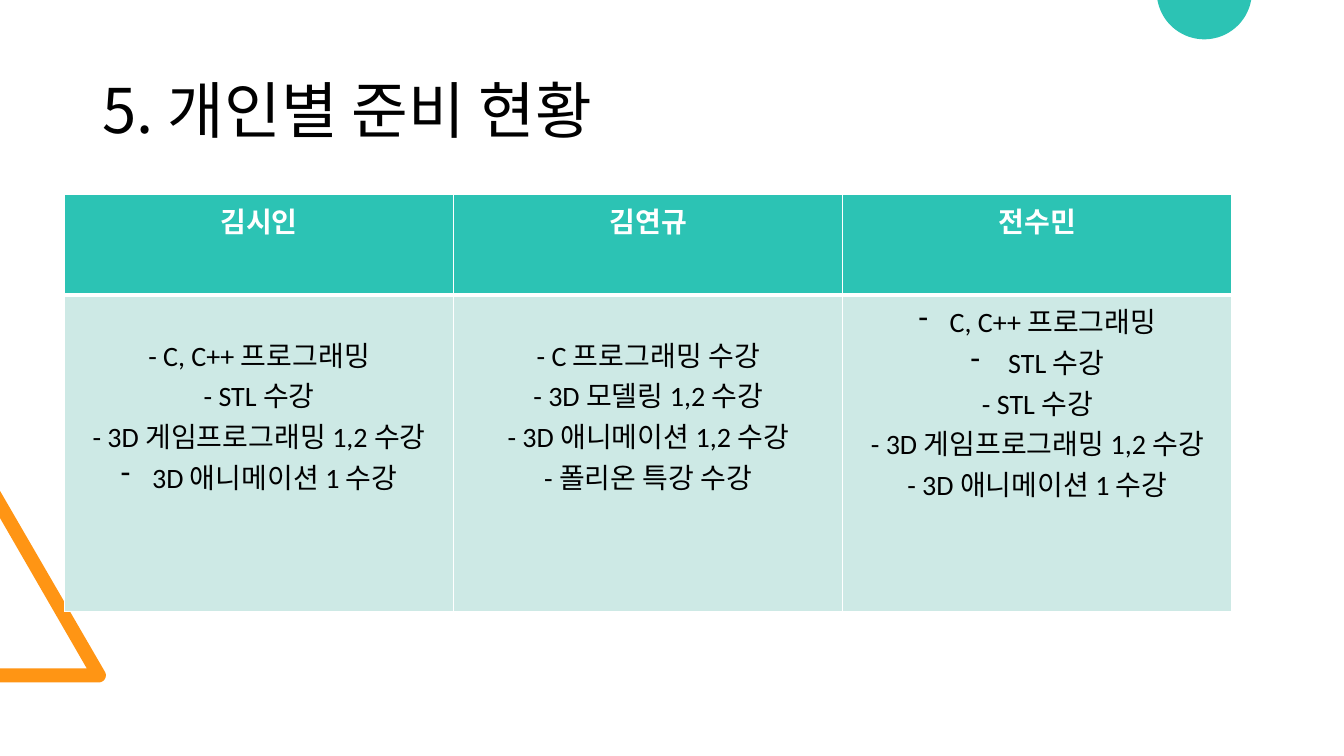
from dataclasses import dataclass
from math import asin, cos, degrees, radians, sin

from lxml import etree
from pptx import Presentation
from pptx.dml.color import RGBColor
from pptx.enum.text import MSO_ANCHOR, PP_ALIGN
from pptx.oxml.ns import qn
from pptx.util import Inches, Pt

MIDDLE = MSO_ANCHOR.MIDDLE
CENTER = PP_ALIGN.CENTER


@dataclass(frozen=True)
class Theme:
    teal: str = "2CC3B4"
    pale: str = "CDE9E5"
    orange: str = "FF9514"
    white: str = "FFFFFF"
    black: str = "000000"
    korean: str = "Noto Sans CJK KR"
    latin: str = "Calibri"
    title: int = 44
    body: int = 20


THEME = Theme()
HEADS = ["김시인", "김연규", "전수민"]
# Items that start with BULLET get a real list bullet.
BULLET = "•"
SKILLS = [
    ["- C, C++ 프로그래밍", "- STL 수강", "- 3D 게임프로그래밍 1,2 수강",
     BULLET + "3D 애니메이션 1 수강"],
    ["- C 프로그래밍 수강", "- 3D 모델링 1,2 수강", "- 3D 애니메이션 1,2 수강",
     "- 폴리온 특강 수강"],
    [BULLET + "C, C++ 프로그래밍", BULLET + " STL 수강", "- STL 수강",
     "- 3D 게임프로그래밍 1,2 수강", "- 3D 애니메이션 1 수강"],
]
TOPS = [0.38, 0.38, 0.05]


def add_run(para, text, color, **form):
    run = para.add_run()
    run.text = text
    for key, value in form.items():
        setattr(run.font, key, value)
    run.font.color.rgb = RGBColor.from_string(color)
    east = etree.SubElement(run.font._element, qn("a:ea"))
    east.set("typeface", THEME.korean)


def add_bullet(para):
    props = para._p.get_or_add_pPr()
    props.set("marL", str(Inches(0.31)))
    props.set("indent", str(-Inches(0.31)))
    etree.SubElement(props, qn("a:buFontTx"))
    etree.SubElement(props, qn("a:buChar")).set("char", "-")


def add_edges(cell, widths):
    """Draw white cell borders, with widths in points by side."""
    props = cell._tc.get_or_add_tcPr()
    for side, width in widths.items():
        line = etree.SubElement(props, qn(f"a:ln{side}"), w=str(Pt(width)))
        fill = etree.SubElement(line, qn("a:solidFill"))
        etree.SubElement(fill, qn("a:srgbClr"), val=THEME.white)


def arc(x, y, radius, start, end, steps=40):
    """Points on a circle, with angles in degrees, clockwise from the right."""
    turns = [radians(start + (end - start) * i / steps) for i in range(steps + 1)]
    return [(x + radius * cos(t), y + radius * sin(t)) for t in turns]


def add_outline(slide, points, color):
    spots = [(Inches(x), Inches(y)) for x, y in points]
    pen = slide.shapes.build_freeform(*spots[0])
    pen.add_line_segments(spots[1:], close=True)
    shape = pen.convert_to_shape()
    shape.shadow.inherit = False
    shape.fill.solid()
    shape.fill.fore_color.rgb = RGBColor.from_string(color)
    shape.line.fill.background()


def add_corner(slide, left, top, width, height):
    """Triangle frame cut off by the left edge, with a round tip."""
    radius = 0.07
    base = top + height
    tip = arc(left + width - radius, base - radius, radius, -30, 90)
    inner = [(left, base), (left, base - 2 * radius),
             (left + 0.86, base - 2 * radius), (left, top + 0.27)]
    add_outline(slide, [(left, top)] + tip + inner, THEME.orange)


def add_dome(slide, left, width, height):
    """Lower part of a disc that hangs from the top edge."""
    radius = ((width / 2) ** 2 + height ** 2) / (2 * height)
    start = degrees(asin((radius - height) / radius))
    points = arc(left + width / 2, height - radius, radius, start, 180 - start)
    add_outline(slide, points, THEME.teal)


def add_title(slide, left, top, width, height):
    box = slide.shapes.add_textbox(*map(Inches, (left, top, width, height)))
    frame = box.text_frame
    frame.word_wrap = True
    frame.vertical_anchor = MIDDLE
    para = frame.paragraphs[0]
    para.line_spacing = 0.9
    add_run(para, "5. 개인별 준비 현황", THEME.black,
            name=THEME.korean, size=Pt(THEME.title))


def fill_cell(cell, items, fill, color, bold, top, edges):
    add_edges(cell, edges)
    cell.fill.solid()
    cell.fill.fore_color.rgb = RGBColor.from_string(fill)
    cell.margin_top = Inches(top)
    frame = cell.text_frame
    for i, item in enumerate(items):
        para = frame.add_paragraph() if i else frame.paragraphs[0]
        para.alignment = CENTER
        if item.startswith(BULLET):
            add_bullet(para)
        add_run(para, item.removeprefix(BULLET), color,
                name=THEME.latin, size=Pt(THEME.body), bold=bold)


def add_grid(slide, left, top, width, height):
    head = 1
    box = map(Inches, (left, top, width, height))
    table = slide.shapes.add_table(2, len(HEADS), *box).table
    for row, tall in zip(table.rows, (head, height - head)):
        row.height = Inches(tall)
    for col in table.columns:
        col.width = Inches(width / len(HEADS))
    for i, (name, skills, inset) in enumerate(zip(HEADS, SKILLS, TOPS)):
        fill_cell(table.cell(0, i), [name], THEME.teal, THEME.white, True,
                  0.05, {"L": 1, "R": 1, "T": 1, "B": 3})
        fill_cell(table.cell(1, i), skills, THEME.pale, THEME.black, False,
                  inset, {"L": 1, "R": 1, "T": 3, "B": 1})


def main():
    deck = Presentation()
    deck.slide_width = Inches(13.33)
    deck.slide_height = Inches(7.5)
    slide = deck.slides.add_slide(deck.slide_layouts[6])
    add_corner(slide, 0, 4.87, 1.05, 1.9)
    add_dome(slide, 11.48, 0.93, 0.39)
    add_title(slide, 0.92, 0.4, 11.5, 1.45)
    add_grid(slide, 0.64, 1.93, 11.58, 4.14)
    deck.save("out.pptx")


if __name__ == "__main__":
    main()
